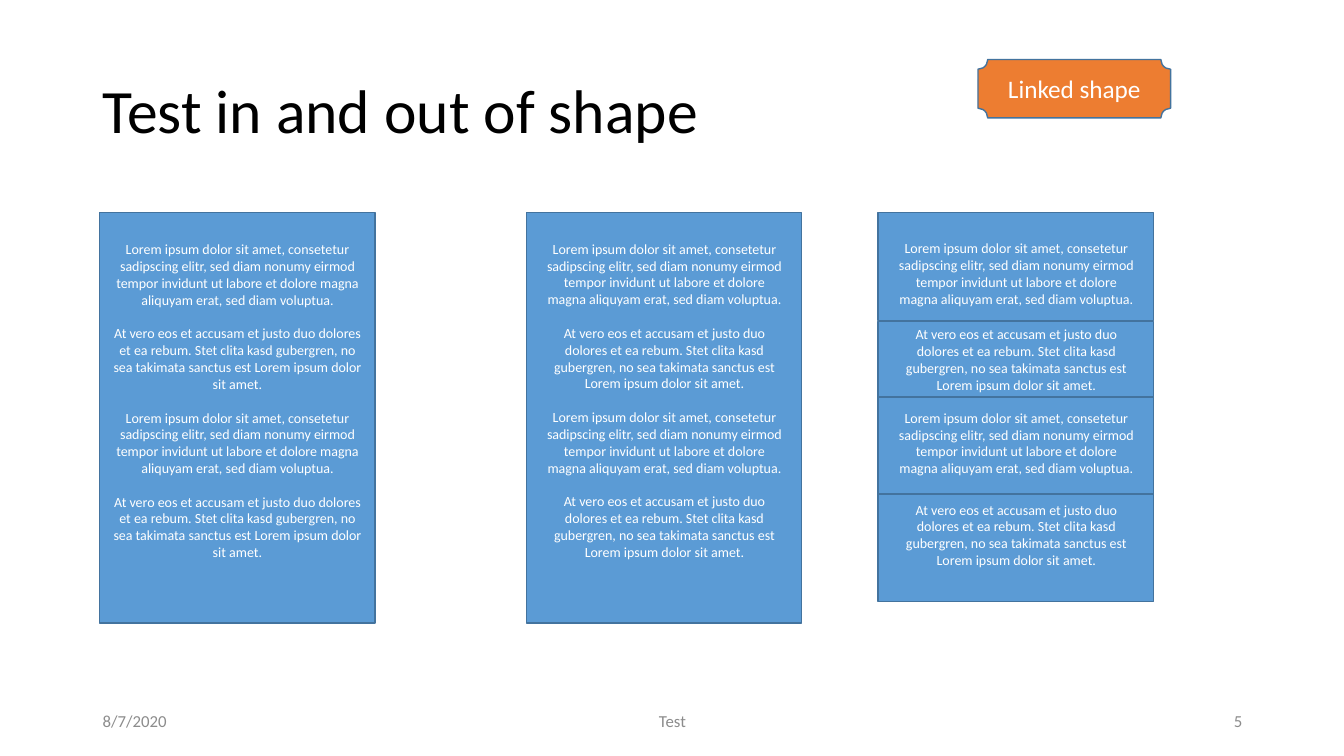
from pptx import Presentation
from pptx.dml.color import RGBColor
from pptx.enum.shapes import MSO_SHAPE
from pptx.enum.text import MSO_ANCHOR, PP_ALIGN
from pptx.util import Inches, Pt

BLUE = RGBColor(0x5B, 0x9B, 0xD5)
ORANGE = RGBColor(0xED, 0x7D, 0x31)
OUTLINE = RGBColor(0x43, 0x73, 0x9E)
BLACK = RGBColor(0, 0, 0)
WHITE = RGBColor(255, 255, 255)
GRAY = RGBColor(0x8C, 0x8C, 0x8C)

LOREM = ("Lorem ipsum dolor sit amet, consetetur sadipscing elitr, sed diam nonumy eirmod "
         "tempor invidunt ut labore et dolore magna aliquyam erat, sed diam voluptua.")
VERO = ("At vero eos et accusam et justo duo dolores et ea rebum. Stet clita kasd gubergren, "
        "no sea takimata sanctus est Lorem ipsum dolor sit amet.")
PASSAGES = [LOREM, VERO] * 2
TITLE = "Test in and out of shape"
FOOTERS = [
    ("8/7/2020", 0.92, 3, PP_ALIGN.LEFT),
    ("Test", 4.42, 4.5, PP_ALIGN.CENTER),
    ("5", 9.42, 3, PP_ALIGN.RIGHT),
]

COLUMN_TOP, COLUMN_WIDTH, COLUMN_HEIGHT = 2.11, 2.73, 4.07
INSIDE_LEFT, OVERLAY_LEFT, SPLIT_LEFT = 0.99, 5.22, 8.71
TEXT_INDENT, TEXT_WIDTH, TEXT_TOP = 0.09, 2.56, 2.33
PANEL_HEIGHT = 1.07
PANEL_TOPS = [2.11, 3.19, 3.94, 4.9]
PASSAGE_BOXES = [(2.33, 0.77), (3.18, 0.77), (4.01, 0.77), (4.84, 0.93)]
BOTTOM_INSET = 0.39

presentation = Presentation()
presentation.slide_width = Inches(13.33)
presentation.slide_height = Inches(7.5)
slide = presentation.slides.add_slide(presentation.slide_layouts[6])


def add_panel(left, top, width, height, fill=BLUE, kind=MSO_SHAPE.RECTANGLE):
    shape = slide.shapes.add_shape(kind, *map(Inches, (left, top, width, height)))
    shape.shadow.inherit = False
    shape.fill.solid()
    shape.fill.fore_color.rgb = fill
    shape.line.color.rgb = OUTLINE
    shape.line.width = Pt(1)
    return shape


def add_text_box(left, top, width, height):
    return slide.shapes.add_textbox(*map(Inches, (left, top, width, height)))


def write(shape, texts, size, color, align=PP_ALIGN.CENTER, gap=0, line_spacing=1.0):
    text_frame = shape.text_frame
    text_frame.text = "\n".join(texts)
    text_frame.word_wrap = True
    text_frame.vertical_anchor = MSO_ANCHOR.MIDDLE
    for paragraph in text_frame.paragraphs:
        paragraph.alignment = align
        paragraph.line_spacing = line_spacing
        paragraph.space_after = Pt(gap)
        for run in paragraph.runs:
            run.font.name = "Calibri"
            run.font.size = Pt(size)
            run.font.color.rgb = color


def write_passages(shape):
    write(shape, PASSAGES, 10, WHITE, gap=12)
    shape.text_frame.margin_bottom = Inches(BOTTOM_INSET)


title = add_text_box(0.92, 0.4, 11.5, 1.45)
write(title, [TITLE], 44, BLACK, PP_ALIGN.LEFT, line_spacing=0.9)

for text, left, width, align in FOOTERS:
    write(add_text_box(left, 6.95, width, 0.4), [text], 12, GRAY, align)

write_passages(add_panel(INSIDE_LEFT, COLUMN_TOP, COLUMN_WIDTH, COLUMN_HEIGHT))

add_panel(OVERLAY_LEFT, COLUMN_TOP, COLUMN_WIDTH, COLUMN_HEIGHT)
write_passages(add_text_box(OVERLAY_LEFT + TEXT_INDENT, TEXT_TOP, TEXT_WIDTH, 3.62))

for top in PANEL_TOPS:
    add_panel(SPLIT_LEFT, top, COLUMN_WIDTH, PANEL_HEIGHT)
for passage, (top, height) in zip(PASSAGES, PASSAGE_BOXES):
    passage_box = add_text_box(SPLIT_LEFT + TEXT_INDENT, top, TEXT_WIDTH, height)
    write(passage_box, [passage], 10, WHITE, gap=12)

linked_shape = add_panel(9.7, 0.59, 1.91, 0.58, ORANGE, MSO_SHAPE.PLAQUE)
write(linked_shape, ["Linked shape"], 18, WHITE)

presentation.save("out.pptx")
